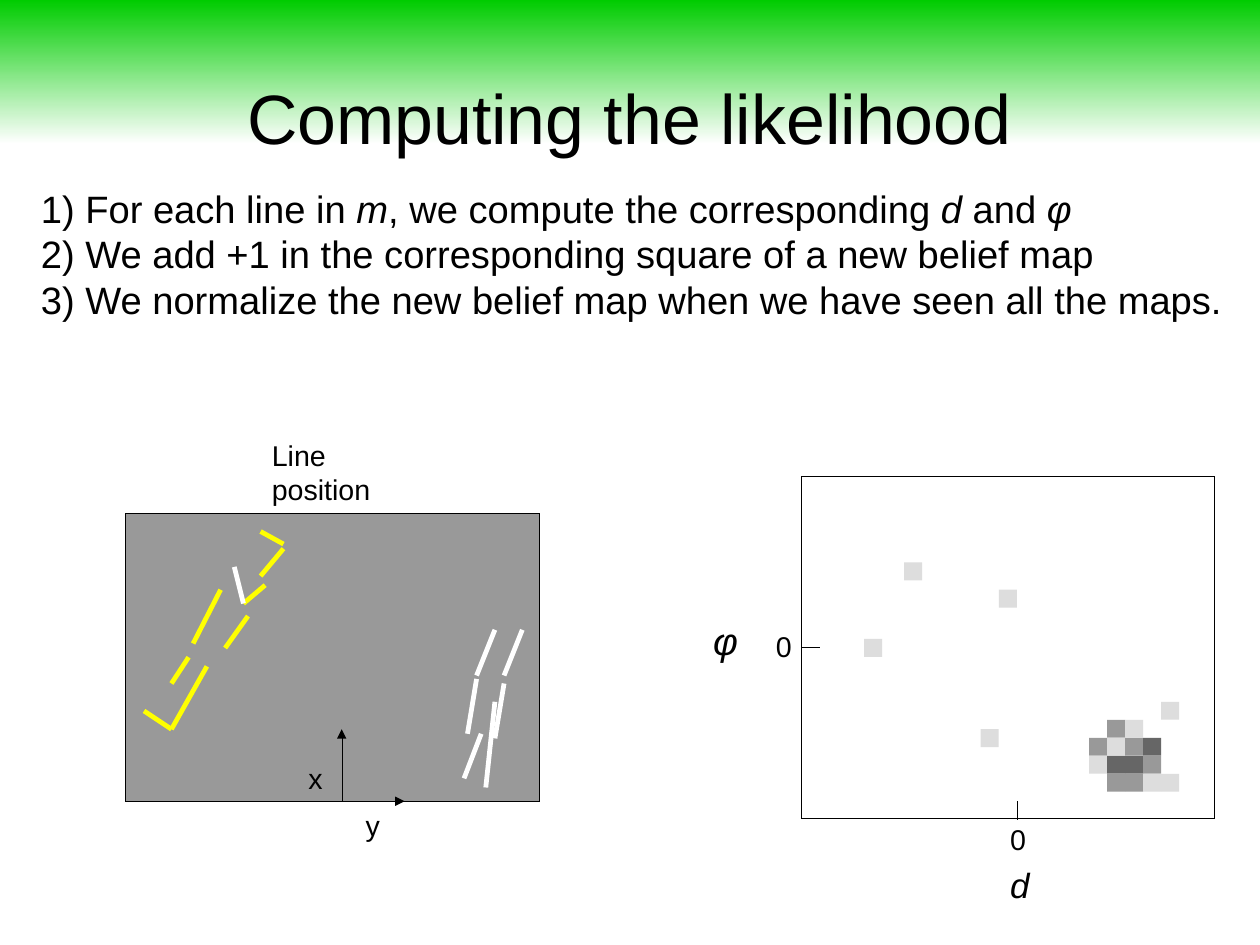
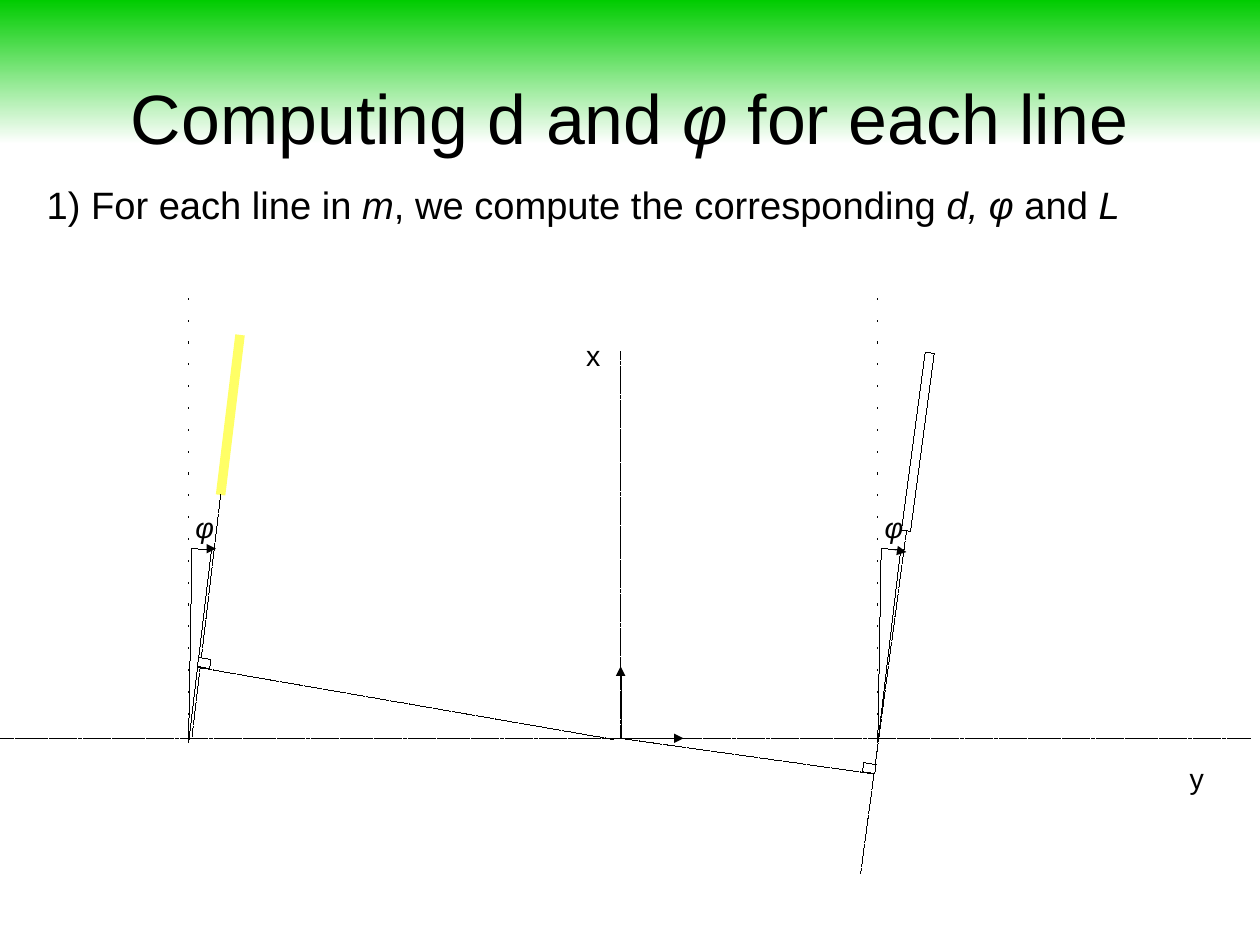
"""Two slides on computing the likelihood of a lane position from detected line segments."""
from lxml import etree
from pptx import Presentation
from pptx.dml.color import RGBColor
from pptx.enum import dml, shapes, text
from pptx.oxml import ns
from pptx.util import Cm, Inches, Pt

COLORS = {
    "green": "00CC00", "black": "000000", "white": "FFFFFF", "road": "999999",
    "yellow": "FFFF00", "pale yellow": "FFFF66",
    "low": "DDDDDD", "middle": "999999", "high": "666666",
}
FONT = "Arial"
SLIDE_WIDTH, SLIDE_HEIGHT = Cm(28), Cm(21)
HAIRLINE = 0

LIKELIHOOD_STEPS = [
    "1) For each line in *m*, we compute the corresponding *d* and *φ*",
    "2) We add +1 in the corresponding square of a new belief map",
    "3) We normalize the new belief map when we have seen all the maps.",
]
LINE_STEP = ["1) For each line in *m*, we compute the corresponding *d, φ *and* L*"]
LABEL_WIDTHS = {"0": 0.34, "x": 0.32, "y": 0.32, "d": 0.37, "φ": 0.41}

ROAD_MARKS = {
    "yellow": [
        (1.81, 5.83, 1.5, 6.38), (1.93, 5.16, 1.69, 5.63), (2.32, 5.12, 2.13, 5.28),
        (2.48, 4.8, 2.28, 5.04), (2.28, 4.65, 2.48, 4.76), (1.5, 5.98, 1.65, 5.75),
        (1.26, 6.22, 1.5, 6.38), (2.17, 5.39, 1.97, 5.67),
    ],
    "white": [
        (4.41, 5.98, 4.33, 6.46), (2.05, 4.96, 2.13, 5.28), (4.57, 5.51, 4.41, 5.91),
        (4.21, 6.42, 4.06, 6.81), (4.33, 5.51, 4.17, 5.91), (4.17, 5.94, 4.09, 6.42),
        (4.33, 6.14, 4.25, 6.89),
    ],
}
LEVELS = {"1": "low", "2": "middle", "3": "high"}
CELL = 0.63 / 4
CLUSTER_LEFT, CLUSTER_TOP = 9.53, 6.14
CLUSTER = ["....1", ".21..", "2123.", "1332.", ".2211"]
STRAY_CELLS = [(7.56, 5.59), (8.58, 6.38), (7.91, 4.92), (8.74, 5.16)]

ORIGIN_X, ORIGIN_Y = 5.43, 6.46
AXES = [
    (ORIGIN_X, ORIGIN_Y, ORIGIN_X, 3.07),
    (ORIGIN_X, ORIGIN_Y, 10.94, ORIGIN_Y),
    (-0.08, ORIGIN_Y, ORIGIN_X, ORIGIN_Y),
]
ANGLES = [
    {"foot": 1.65, "arrow": (1.81, 4.8, 1.89, 4.8)},
    {"foot": 7.68, "arrow": (7.81, 4.81, 7.93, 4.83)},
]


def rgb(color):
    return RGBColor.from_string(COLORS[color])


def add_text(slide, box, paragraphs, size, italic=None, wrap=False, title=False):
    frame = slide.shapes.add_textbox(*map(Inches, box)).text_frame
    frame.word_wrap = wrap or title
    if title:
        frame.vertical_anchor = text.MSO_ANCHOR.MIDDLE
        frame.margin_left = frame.margin_right = frame.margin_top = frame.margin_bottom = 0
    else:
        frame.auto_size = text.MSO_AUTO_SIZE.SHAPE_TO_FIT_TEXT
    for index, content in enumerate(paragraphs):
        paragraph = frame.add_paragraph() if index else frame.paragraphs[0]
        paragraph.alignment = text.PP_ALIGN.CENTER if title else text.PP_ALIGN.LEFT
        font = paragraph.font
        font.name, font.size, font.italic = FONT, Pt(size), italic
        font.color.rgb = rgb("black")
        for part, words in enumerate(content.split("*")):
            if words:
                run = paragraph.add_run()
                run.text = words
                if part % 2:
                    run.font.italic = True


def add_label(slide, left, top, letter, size=18, italic=None):
    box = (left, top, LABEL_WIDTHS[letter], 0.38)
    add_text(slide, box, [letter], size, italic, wrap=True)


def draw_outline(drawn, color, width):
    drawn._element.remove(drawn._element.find(ns.qn("p:style")))
    drawn.line.color.rgb = rgb(color)
    drawn.line.width = Pt(width)


def add_rect(slide, box, fill, outlined=False, rotation=0):
    rect = slide.shapes.add_shape(shapes.MSO_SHAPE.RECTANGLE, *map(Inches, box))
    rect.shadow.inherit = False
    rect.rotation = rotation
    rect.fill.solid()
    rect.fill.fore_color.rgb = rgb(fill)
    if outlined:
        draw_outline(rect, "black", HAIRLINE)
    else:
        rect.line.fill.background()
    return rect


def add_line(slide, ends, color="black", width=HAIRLINE, style="solid"):
    line = slide.shapes.add_connector(shapes.MSO_CONNECTOR.STRAIGHT, *map(Inches, ends))
    draw_outline(line, color, width)
    outline = line.line._get_or_add_ln()
    etree.SubElement(line._element.spPr, ns.qn("a:effectLst"))
    if style == "dashed":
        line.line.dash_style = dml.MSO_LINE.SQUARE_DOT
    elif style == "dotted":
        dots = etree.SubElement(outline, ns.qn("a:custDash"))
        etree.SubElement(dots, ns.qn("a:ds"), d="100000", sp="1700000")
    elif style == "arrow":
        etree.SubElement(outline, ns.qn("a:tailEnd"), type="triangle")
    return line


def add_axis_arrows(slide, x, y):
    add_line(slide, (x, y, x, y - 0.63), style="arrow")
    add_line(slide, (x, y, x + 0.55, y), style="arrow")


def start_slide(deck, title):
    slide = deck.slides.add_slide(deck.slide_layouts[6])
    band = add_rect(slide, (0, 0, SLIDE_WIDTH.inches, 1.26), "green")
    band.fill.gradient()
    band.fill.gradient_angle = 270
    for stop, color in zip(band.fill.gradient_stops, ("green", "white")):
        stop.color.rgb = rgb(color)
    add_text(slide, (0.55, 0.33, 9.92, 1.38), [title], 44, title=True)
    return slide


def build_likelihood(deck):
    slide = start_slide(deck, "Computing the likelihood")
    add_text(slide, (0.26, 1.57, 10.53, 1.96), LIKELIHOOD_STEPS, 24)

    belief_map = add_rect(slide, (7.01, 4.17, 3.62, 2.99), "white", outlined=True)
    phi_tick = add_line(slide, (7.01, 5.67, 7.17, 5.67))
    phi_tick.begin_connect(belief_map, 1)
    phi_tick.end_y = phi_tick.begin_y
    add_line(slide, (8.9, 7.17, 8.9, 7.01))
    add_label(slide, 6.69, 5.45, "0")
    add_label(slide, 8.74, 7.14, "0")
    add_label(slide, 6.14, 5.35, "φ", 24, italic=True)
    add_label(slide, 8.74, 7.51, "d", 22, italic=True)
    for left, top in STRAY_CELLS:
        add_rect(slide, (left, top, CELL, CELL), "low")
    for row, levels in enumerate(CLUSTER):
        for column, level in enumerate(levels):
            if level in LEVELS:
                corner = (CLUSTER_LEFT + column * CELL, CLUSTER_TOP + row * CELL)
                add_rect(slide, (*corner, CELL, CELL), LEVELS[level])

    add_rect(slide, (1.1, 4.49, 3.62, 2.52), "road", outlined=True)
    add_text(slide, (2.28, 3.78, 1.6, 0.38), ["Line position"], 18)
    for color, marks in ROAD_MARKS.items():
        for ends in marks:
            add_line(slide, ends, color, 3)
    add_axis_arrows(slide, 2.99, 7.01)
    add_label(slide, 2.6, 6.61, "x")
    add_label(slide, 3.1, 7.02, "y")


def add_angle(slide, foot, arrow):
    add_line(slide, (foot, 6.44, foot, 2.6), style="dotted")
    outline = slide.shapes.build_freeform(Inches(foot + 0.03), Inches(4.8), scale=1.0)
    corners = [(foot + 0.2, 4.81), (foot, 6.5)]
    outline.add_line_segments([(Inches(x), Inches(y)) for x, y in corners], close=True)
    wedge = outline.convert_to_shape()
    wedge.shadow.inherit = False
    wedge.fill.background()
    draw_outline(wedge, "black", HAIRLINE)
    add_label(slide, foot - 0.04, 4.41, "φ", italic=True)
    add_line(slide, arrow, style="arrow")


def build_line_geometry(deck):
    slide = start_slide(deck, "Computing d and *φ *for each line")
    add_text(slide, (0.31, 1.54, 10.53, 0.55), LINE_STEP, 24)

    add_axis_arrows(slide, ORIGIN_X, ORIGIN_Y)
    for ends in AXES:
        add_line(slide, ends, style="dashed")
    add_label(slide, 5.03, 2.91, "x")
    add_label(slide, 10.31, 6.61, "y")

    add_line(slide, (2.1, 2.93, 1.93, 4.33), "pale yellow", 6)
    add_line(slide, (1.93, 4.33, 1.68, 6.44), style="dashed")
    white_mark = add_rect(slide, (7.99, 3.08, 0.08, 1.57), "white", outlined=True, rotation=7.6)
    extension = add_line(slide, (7.93, 4.65, 7.53, 7.64), style="dashed")
    extension.begin_connect(white_mark, 2)
    extension.begin_x, extension.begin_y = Inches(7.93), Inches(4.65)

    for angle in ANGLES:
        add_angle(slide, **angle)
    add_line(slide, (7.64, 6.77, ORIGIN_X, ORIGIN_Y), style="dashed")
    add_line(slide, (1.74, 5.84, 5.37, 6.47), style="dashed")
    for left, top, rotation in [(7.55, 6.68, 8.2), (1.73, 5.76, 9.8)]:
        add_rect(slide, (left, top, 0.11, 0.08), "white", outlined=True, rotation=rotation)


def main():
    deck = Presentation()
    deck.slide_width, deck.slide_height = SLIDE_WIDTH, SLIDE_HEIGHT
    build_likelihood(deck)
    build_line_geometry(deck)
    deck.save("out.pptx")


if __name__ == "__main__":
    main()
